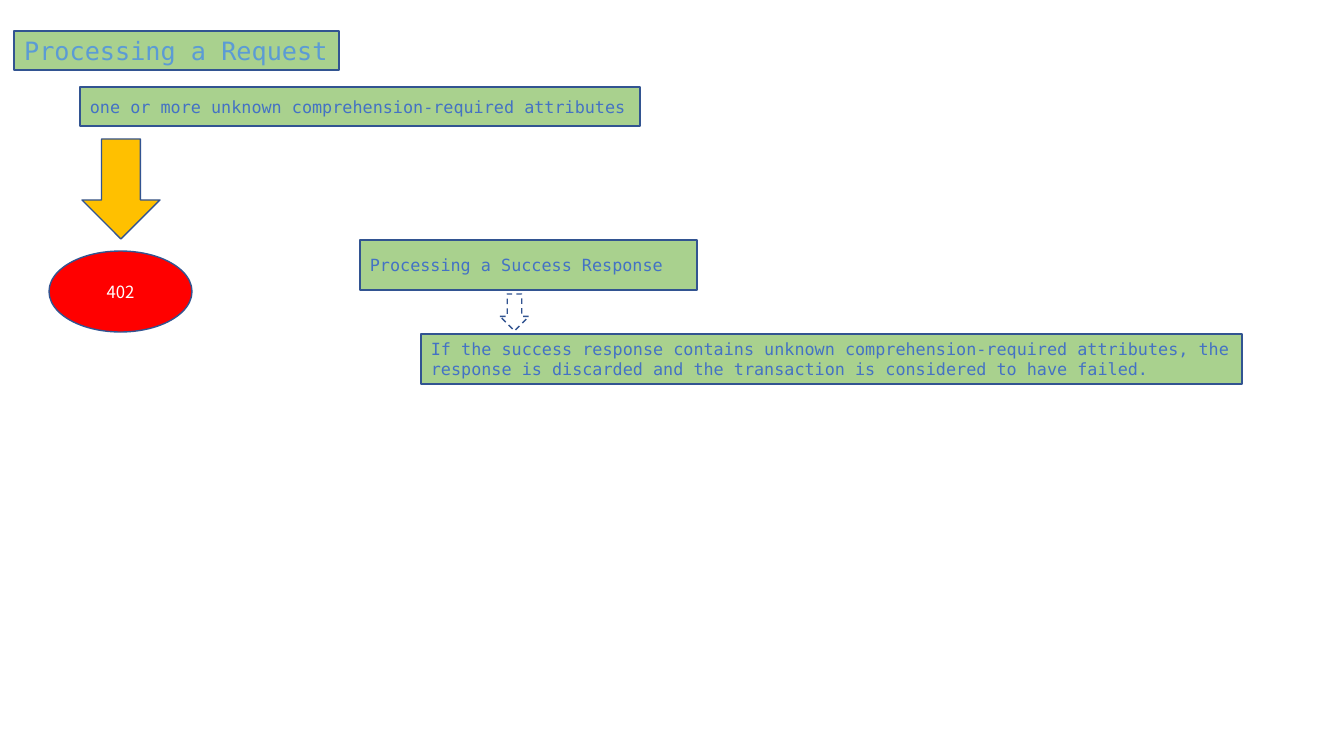
import pptx
import pptx.util
from pptx.dml.color import RGBColor
from pptx.enum.dml import MSO_LINE
from pptx.enum.shapes import MSO_SHAPE
from pptx.enum.text import MSO_ANCHOR, MSO_AUTO_SIZE, PP_ALIGN

PX = 12192000 / 1344  # EMU per px on a slide 1344 px wide

GREEN = RGBColor(0xA9, 0xD1, 0x8E)
AMBER = RGBColor(0xFF, 0xC0, 0x00)
RED = RGBColor(0xFF, 0x00, 0x00)
OUTLINE = RGBColor(0x32, 0x54, 0x91)
TITLE_BLUE = RGBColor(0x5B, 0x9B, 0xD5)
TEXT_BLUE = RGBColor(0x44, 0x72, 0xC4)
WHITE = RGBColor(0xFF, 0xFF, 0xFF)
MONO = "DejaVu Sans Mono"
SANS = "Noto Sans CJK SC"


def style_outline(shape, fill):
    if fill is None:
        shape.fill.background()
    else:
        shape.fill.solid()
        shape.fill.fore_color.rgb = fill
    shape.line.color.rgb = OUTLINE
    shape.line.width = pptx.util.Pt(1)


def write_text(shape, text, size, color, font=MONO, align=PP_ALIGN.LEFT):
    frame = shape.text_frame
    frame.text = text
    frame.word_wrap = True
    frame.auto_size = MSO_AUTO_SIZE.NONE
    frame.vertical_anchor = MSO_ANCHOR.MIDDLE
    paragraph = frame.paragraphs[0]
    paragraph.alignment = align
    paragraph.font.name = font
    paragraph.font.size = pptx.util.Pt(size)
    paragraph.font.color.rgb = color


deck = pptx.Presentation()
deck.slide_width = round(1344 * PX)
deck.slide_height = round(756 * PX)
slide = deck.slides.add_slide(deck.slide_layouts[5])

# Title
heading = slide.shapes.title
heading.left, heading.top, heading.width, heading.height = [
    round(length * PX) for length in (14, 31, 325, 39)]
style_outline(heading, GREEN)
write_text(heading, "Processing a Request", 18, TITLE_BLUE)

# Steps of both flows: preset, place in px, fill, text
steps = [
    (MSO_SHAPE.RECTANGLE, (80, 87, 560, 39), GREEN,
     "one or more unknown comprehension-required attributes"),
    (MSO_SHAPE.RECTANGLE, (360, 240, 337, 50), GREEN,
     "Processing a Success Response"),
    (MSO_SHAPE.DOWN_ARROW, (82, 139, 78, 100), AMBER, ""),
    (MSO_SHAPE.OVAL, (49, 251, 143, 81), RED, "402"),
    (MSO_SHAPE.RECTANGLE, (421, 334, 821, 50), GREEN,
     "If the success response contains unknown comprehension-required "
     "attributes, the response is discarded and the transaction is "
     "considered to have failed."),
    (MSO_SHAPE.DOWN_ARROW, (500, 294, 29, 37), None, ""),
]
for preset, place, fill, text in steps:
    step = slide.shapes.add_shape(preset, *[round(length * PX) for length in place])
    step.shadow.inherit = False
    style_outline(step, fill)
    if fill is None:
        step.line.dash_style = MSO_LINE.DASH
    if preset == MSO_SHAPE.OVAL:
        write_text(step, text, 12, WHITE, SANS, PP_ALIGN.CENTER)
    elif text:
        write_text(step, text, 12, TEXT_BLUE)

deck.save("out.pptx")
